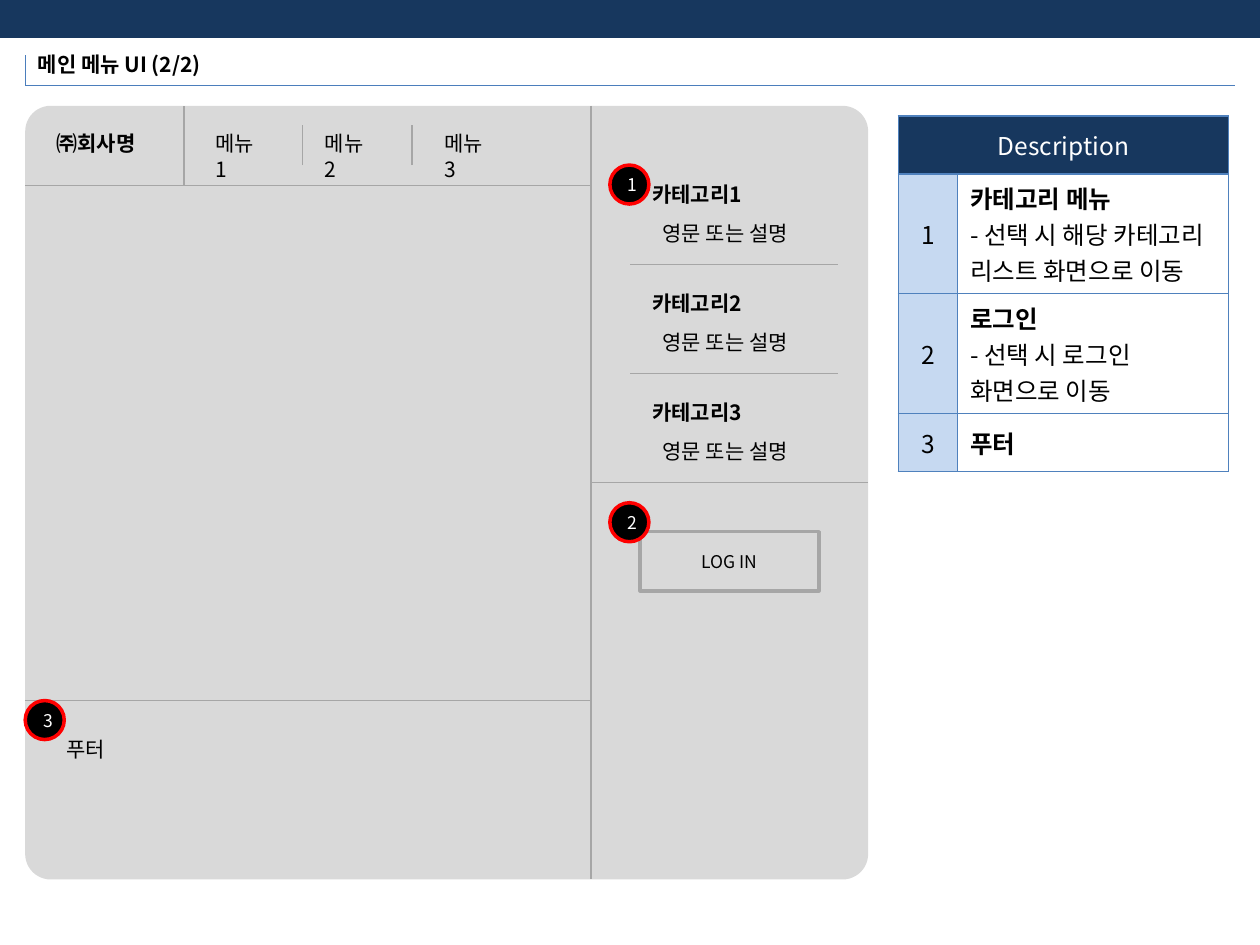
from lxml import etree
from pptx import Presentation
from pptx.dml.color import RGBColor
from pptx.enum.shapes import MSO_CONNECTOR, MSO_SHAPE
from pptx.enum.text import MSO_ANCHOR, PP_ALIGN
from pptx.oxml.ns import qn
from pptx.util import Inches, Pt

NAVY = RGBColor(0x17, 0x37, 0x5E)
RULE_BLUE = RGBColor(0x4B, 0x7E, 0xBC)
BORDER_BLUE = RGBColor(0x4F, 0x81, 0xBD)
PALE_BLUE = RGBColor(0xC6, 0xD9, 0xF1)
PANEL_GRAY = RGBColor(0xD9, 0xD9, 0xD9)
LINE_GRAY = RGBColor(0xA6, 0xA6, 0xA6)
RED = RGBColor(0xFF, 0, 0)
BLACK = RGBColor(0, 0, 0)
WHITE = RGBColor(0xFF, 0xFF, 0xFF)
FONT = "Noto Sans CJK KR"
LEFT, CENTER = PP_ALIGN.LEFT, PP_ALIGN.CENTER
TOP, MIDDLE = MSO_ANCHOR.TOP, MSO_ANCHOR.MIDDLE
RECT, ROUND_RECT, OVAL = MSO_SHAPE.RECTANGLE, MSO_SHAPE.ROUNDED_RECTANGLE, MSO_SHAPE.OVAL
STRAIGHT = MSO_CONNECTOR.STRAIGHT


def format_paragraph(paragraph, size, color=BLACK, bold=False, align=LEFT):
    """Apply one text style to every run of a paragraph."""
    paragraph.alignment = align
    for run in paragraph.runs:
        font = run.font
        font.name, font.size, font.bold = FONT, Pt(size), bold
        font.color.rgb = color
        east_asian = etree.SubElement(run._r.get_or_add_rPr(), qn("a:ea"))
        east_asian.set("typeface", FONT)


def add_label(slide, text, left, top, width, bold=False, right_inset=0.1):
    """Place a 12 pt line of text."""
    label = slide.shapes.add_textbox(Inches(left), Inches(top), Inches(width), Inches(0.3))
    frame = label.text_frame
    frame.word_wrap = True
    frame.margin_right = Inches(right_inset)
    frame.text = text
    format_paragraph(frame.paragraphs[0], 12, bold=bold)


def add_block(slide, kind, left, top, width, height, fill=None, line=None,
              text="", color=BLACK):
    """Place a preset shape, optionally with centred 10 pt text."""
    block = slide.shapes.add_shape(kind, Inches(left), Inches(top), Inches(width), Inches(height))
    block.shadow.inherit = False
    if fill is None:
        block.fill.background()
    else:
        block.fill.solid()
        block.fill.fore_color.rgb = fill
    if line is None:
        block.line.fill.background()
    else:
        block.line.color.rgb = line
        block.line.width = Pt(2)
    if text:
        frame = block.text_frame
        frame.vertical_anchor = MIDDLE
        frame.text = text
        format_paragraph(frame.paragraphs[0], 10, color, align=CENTER)
    return block


def add_rule(slide, x1, y1, x2, y2, color=LINE_GRAY):
    """Draw a thin straight line."""
    rule = slide.shapes.add_connector(STRAIGHT, Inches(x1), Inches(y1), Inches(x2), Inches(y2))
    rule.line.color.rgb = color
    rule.line.width = Pt(0.75)
    etree.SubElement(rule._element.spPr, qn("a:effectLst"))


def add_badge(slide, number, left, top):
    """Place a numbered marker that refers to the description table."""
    add_block(slide, OVAL, left, top, 0.31, 0.31, BLACK, RED, str(number), WHITE)


def add_header(slide, left, right, bottom):
    """Build the top band, the title and its rules."""
    add_block(slide, RECT, 0, 0, 10, 0.29, NAVY, NAVY)
    add_rule(slide, left, bottom - 0.24, left, bottom, RULE_BLUE)
    add_rule(slide, left, bottom, right, bottom, RULE_BLUE)
    title = slide.shapes.title
    title.left, title.top = Inches(left), Inches(bottom - 0.32)
    title.width, title.height = Inches(1.62), Inches(0.3)
    frame = title.text_frame
    frame.word_wrap = False
    frame.vertical_anchor = TOP
    frame.text = "메인 메뉴 UI (2/2)"
    format_paragraph(frame.paragraphs[0], 12, bold=True)


def add_menu_bar(slide, left, top, width, height):
    """Build the company name and the three menus."""
    bottom = top + height
    add_label(slide, "㈜회사명", left + 0.15, top + 0.15, 0.88, bold=True)
    add_rule(slide, left, bottom, left + width, bottom)
    add_rule(slide, left + 1.26, bottom, left + 1.26, top)
    for number, offset in enumerate((1.41, 2.28, 3.23), start=1):
        add_label(slide, f"메뉴{number}", left + offset, top + 0.15, 0.63, right_inset=0.18)
    for offset in (2.2, 3.07):
        add_rule(slide, left + offset, bottom - 0.16, left + offset, top + 0.15)


def add_side_menu(slide, left, top, width, height):
    """Build the category list and the login button."""
    add_rule(slide, left, top, left, top + height)
    pitch, first = 0.865, top + 0.55
    for index in range(3):
        row = first + index * pitch
        last = index == 2
        add_label(slide, f"카테고리{index + 1}", left + 0.39, row, 0.97, bold=True)
        add_label(slide, "영문 또는 설명", left + 0.47, row + 0.315, 1.33)
        add_rule(slide, left + (0 if last else 0.31), row + 0.71,
                 left + width - (0 if last else 0.24), row + 0.71)
    add_block(slide, RECT, left + 0.39, top + 3.38, 1.42, 0.47, line=LINE_GRAY, text="LOG IN")
    add_badge(slide, 1, left + 0.15, top + 0.47)
    add_badge(slide, 2, left + 0.15, top + 3.15)


def add_footer(slide, left, top, width):
    """Build the footer area."""
    add_rule(slide, left, top, left + width, top)
    add_label(slide, "푸터", left + 0.23, top + 0.24, 0.54)
    add_badge(slide, 3, left, top)


def add_wireframe(slide, left, top, width, height):
    """Build the screen mock-up and its regions."""
    main_width = 4.49
    panel = add_block(slide, ROUND_RECT, left, top, width, height, PANEL_GRAY)
    panel.adjustments[0] = 0.033
    add_menu_bar(slide, left, top, main_width, 0.63)
    add_side_menu(slide, left + main_width, top, width - main_width, height)
    add_footer(slide, left, top + 4.72, main_width)


def fill_cell(cell, lines, fill, color=BLACK, align=LEFT, bold_first=False):
    """Fill, border and write one table cell."""
    cell.vertical_anchor = MIDDLE
    cell.text = "\n".join(lines)
    for index, paragraph in enumerate(cell.text_frame.paragraphs):
        format_paragraph(paragraph, 14, color, bold_first and index == 0, align)
    properties = cell._tc.get_or_add_tcPr()
    for side in ("lnL", "lnR", "lnT", "lnB"):
        border = etree.SubElement(properties, qn(f"a:{side}"), w=str(Pt(1)))
        solid = etree.SubElement(border, qn("a:solidFill"))
        etree.SubElement(solid, qn("a:srgbClr"), val=str(BORDER_BLUE))
    cell.fill.solid()
    cell.fill.fore_color.rgb = fill


def add_description(slide, left, top, width, row):
    """Build the description table; row is the height of a one-line row."""
    entries = (
        ("카테고리 메뉴", "- 선택 시 해당 카테고리 리스트 화면으로 이동"),
        ("로그인", "- 선택 시 로그인 화면으로 이동"),
        ("푸터",),
    )
    table = slide.shapes.add_table(4, 2, Inches(left), Inches(top),
                                   Inches(width), Inches(row * 6)).table
    number_width = 0.47
    table.columns[0].width = Inches(number_width)
    table.columns[1].width = Inches(width - number_width)
    for table_row, share in zip(table.rows, (1, 2, 2, 1)):
        table_row.height = Inches(row * share)
    table.cell(0, 0).merge(table.cell(0, 1))
    fill_cell(table.cell(0, 0), ["Description"], NAVY, WHITE, CENTER)
    fill_cell(table.cell(0, 1), [], NAVY)
    for number, lines in enumerate(entries, start=1):
        fill_cell(table.cell(number, 0), [str(number)], PALE_BLUE, align=CENTER)
        fill_cell(table.cell(number, 1), lines, WHITE, bold_first=True)


def main():
    """Build and save the slide."""
    deck = Presentation()
    deck.slide_width, deck.slide_height = Inches(10), Inches(7.5)
    slide = deck.slides.add_slide(deck.slide_layouts[5])
    add_header(slide, 0.2, 9.8, 0.68)
    add_description(slide, 7.13, 0.92, 2.62, 0.46)
    add_wireframe(slide, 0.2, 0.84, 6.69, 6.14)
    deck.save("out.pptx")


main()
